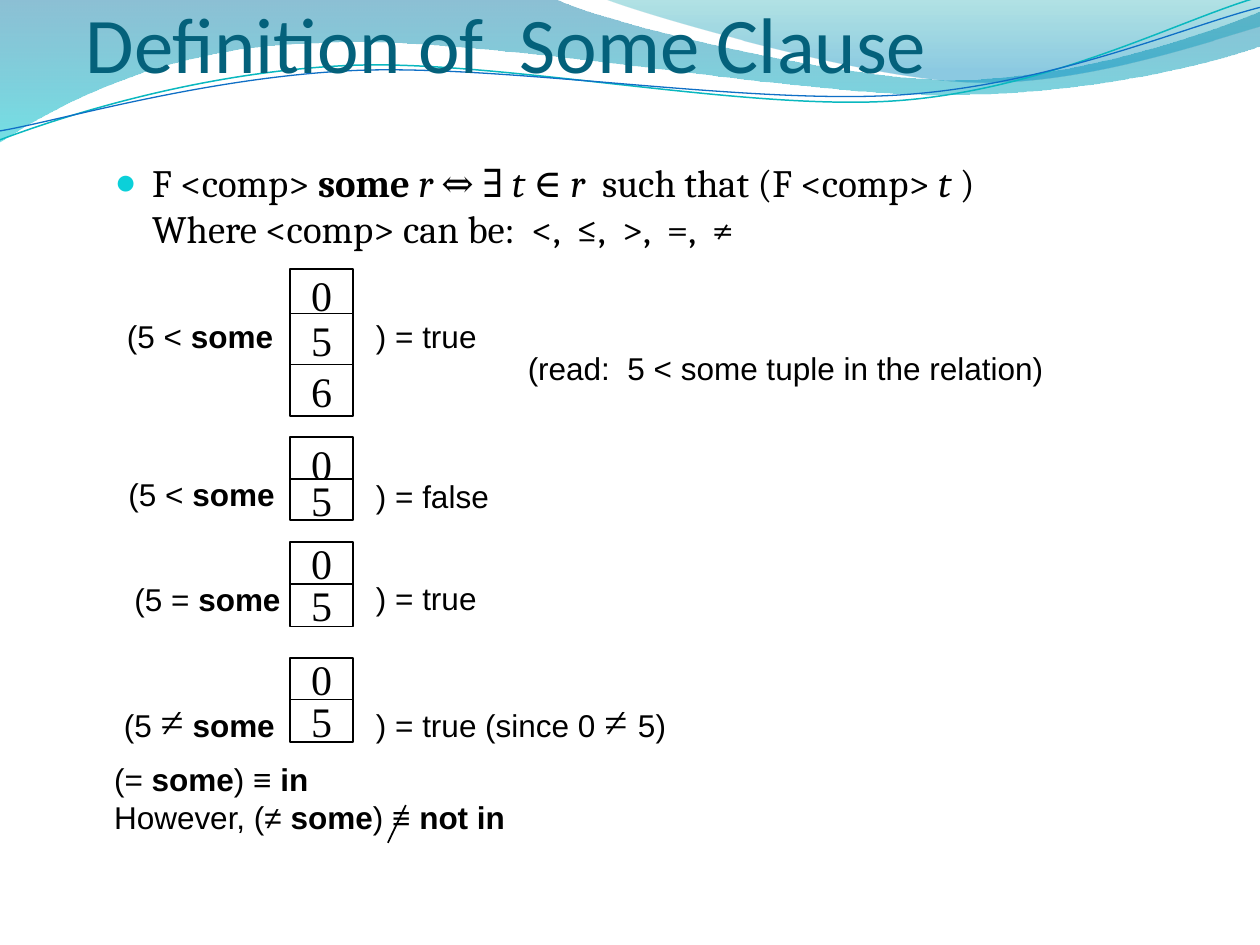
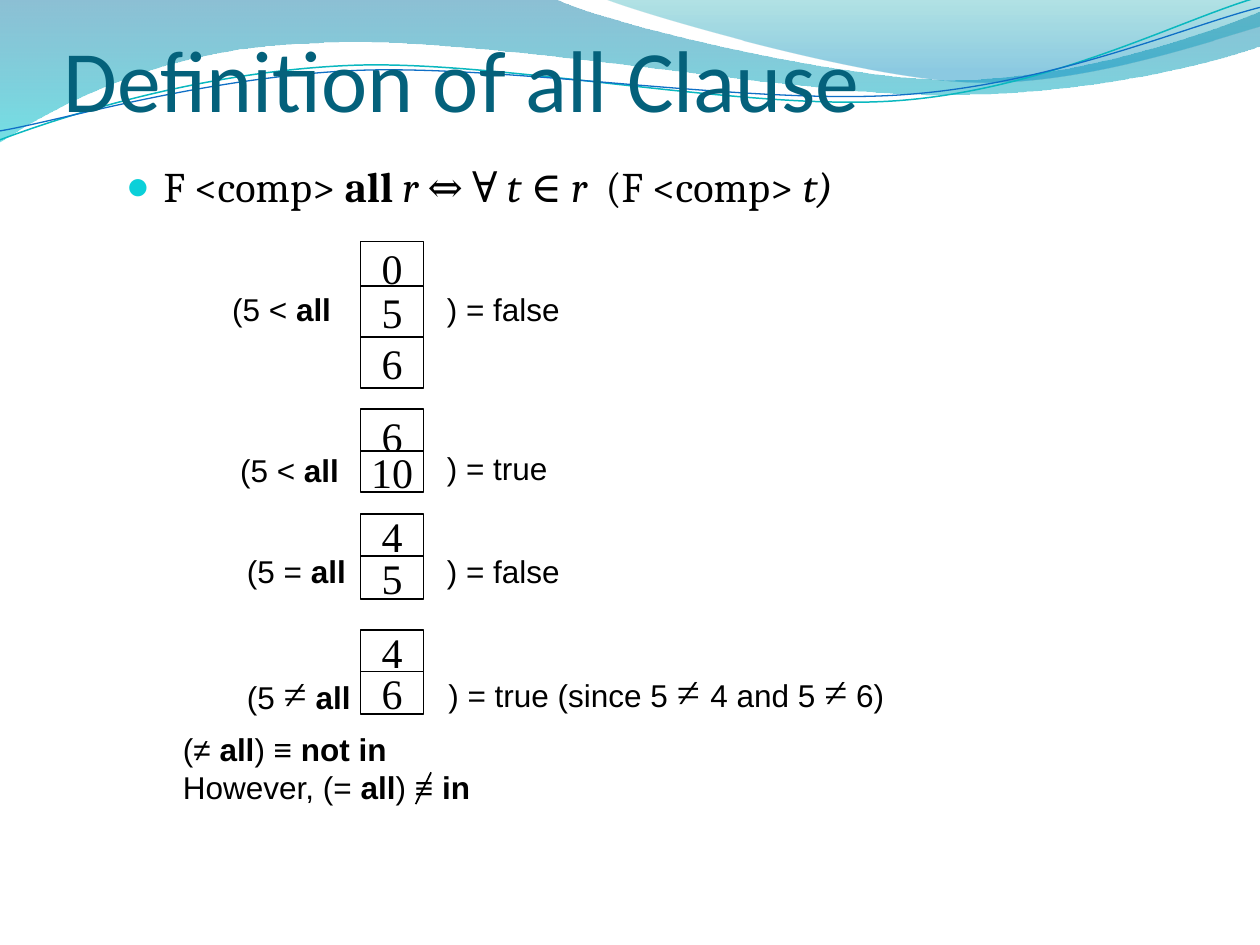
from dataclasses import dataclass
from typing import NamedTuple

import lxml.etree
import pptx
import pptx.dml.color
import pptx.enum.shapes
import pptx.enum.text
import pptx.oxml.ns
import pptx.util

Cm = pptx.util.Cm
Pt = pptx.util.Pt
qn = pptx.oxml.ns.qn
ALIGN = pptx.enum.text.PP_ALIGN
ANCHOR = pptx.enum.text.MSO_ANCHOR


@dataclass(frozen=True)
class Theme:
    ink: str = "000000"
    paper: str = "FFFFFF"
    title: str = "04617B"
    bullet: str = "0BD0D9"
    head: str = "Calibri"
    serif: str = "Cambria"
    sans: str = "Arial"
    math: str = "Times New Roman"
    label: float = 18
    digit: float = 24


THEME = Theme()


class Box(NamedTuple):
    """A place on the slide in centimetres."""
    left: float
    top: float
    width: float
    height: float


class Stop(NamedTuple):
    at: float
    color: str
    alpha: int


class Wave(NamedTuple):
    """An outline: two numbers make a line, six make a Bezier curve."""
    start: tuple[float, float]
    steps: list[tuple[float, ...]]
    stops: tuple[Stop, ...] = ()
    color: str = ""
    weight: float = 0


class Label(NamedTuple):
    left: float
    top: float
    width: float
    text: str


class Case(NamedTuple):
    """One comparison: text before the stack, its digits, text after."""
    before: Label
    digits: list[str]
    after: Label


class Page(NamedTuple):
    title: str
    title_box: Box
    title_size: float
    rule: str
    rule_box: Box
    rule_size: float
    stack_left: float
    stack_shift: float
    cases: list[Case]
    notes: list[Label]
    sum_up: list[str]
    sum_box: Box
    slash: tuple[float, float, float, float]


WAVES = [
    Wave((0, 0), [
        (11.18, -0.03),
        (12.09, 0.43, 16.87, 1.6, 19.25, 1.6),
        (21.67, 1.6, 24.33, 0.66, 25.4, 0.23),
        (25.43, 0.91),
        (24.97, 1.12, 22.1, 1.93, 18.95, 1.91),
        (15.8, 1.91, 9.7, 0.71, 6.53, 0.86),
        (3.28, 0.91, 1.17, 2.11, -0.03, 2.87),
    ], stops=(Stop(0, "0074A1", 45), Stop(1, "00C6CF", 55))),
    Wave((12.17, -0.03), [
        (12.93, 0.28, 17.32, 1.57, 19.53, 1.65),
        (21.74, 1.75, 24.41, 0.81, 25.4, 0.53),
        (25.4, 0),
    ], stops=(Stop(0, "00A1A9", 30), Stop(0.8, "008BBF", 45))),
    Wave((0, 2.82), [
        (1.22, 2.36, 4.01, 1.45, 7.04, 1.32),
        (10.03, 1.19, 15.06, 2.26, 18.11, 2.03),
        (21.16, 1.8, 23.83, 0.38, 25.35, -0.05),
    ], color="0AB8BF", weight=0.85),
    Wave((0, 2.64), [
        (1.19, 2.44, 4.17, 1.55, 7.19, 1.42),
        (10.24, 1.3, 15.16, 2.13, 18.21, 1.91),
        (21.23, 1.7, 23.9, 0.53, 25.4, 0.15),
    ], color="0F6FC6", weight=0.75),
]

# Top and height of every cell, stack by stack
STACKS = [
    [(5.43, 1.04), (6.32, 1.04), (7.35, 1.04)],
    [(8.81, 1.07), (9.66, 0.82)],
    [(10.92, 0.86), (11.77, 0.86)],
    [(13.26, 0.86), (14.1, 0.86)],
]

# In texts, "|" parts the runs; a run opens with * (bold), / (italic) or # (symbol)
PAGES = [
    Page(
        "Definition of  Some Clause", Box(1.73, 0.1, 22.43, 1.7), 45,
        "F <comp> |*some |/r |⇔ ∃ |/t |∈|/ r  |such that (F <comp> |/t |)|\v|"
        "Where <comp> can be:  <,  ≤,  >,  =,  ≠",
        Box(2.06, 3.07, 18.9, 1.98), 22.1, 5.85, 0,
        [
            Case(Label(2.31, 6.27, 3.76, "(5 < |*some"), ["0", "5", "6"],
                 Label(7.33, 6.27, 2.54, ") = true")),
            Case(Label(2.34, 9.45, 3.84, "(5 < |*some"), ["0", "5"],
                 Label(7.33, 9.5, 3.38, ") = false")),
            Case(Label(2.46, 11.56, 4.24, "(5 = |*some"), ["0", "5"],
                 Label(7.33, 11.55, 3.38, ") = true")),
            Case(Label(2.25, 13.89, 4.01, "(5 |#≠| |*some"), ["0", "5"],
                 Label(7.33, 13.89, 6.99, ") = true (since 0 |#≠ |5)")),
        ],
        [Label(10.39, 6.91, 13.54, "(read:  5 < some tuple in the relation)")],
        ["(= |*some|) ≡ |*in", "However, (≠ |*some|) ≡ |*not in"],
        Box(2.05, 15.2, 18.9, 1.98), (8.18, 16.23, 7.82, 16.99),
    ),
    Page(
        "Definition of all Clause", Box(1.28, -0.56, 22.86, 3.18), 50,
        "F <comp> |*all |/r |⇔ ∀ |/t |∈|/ r | (F <comp> |/t)",
        Box(2.29, 3.11, 18.44, 1.07), 24.1, 7.27, -0.56,
        [
            Case(Label(4.43, 5.72, 3.38, "(5 < |*all"), ["0", "5", "6"],
                 Label(8.76, 5.72, 3.38, ") = false")),
            Case(Label(4.59, 8.97, 3.38, "(5 < |*all"), ["6", "10"],
                 Label(8.76, 8.93, 3.38, ") = true")),
            Case(Label(4.73, 11, 3.38, "(5 = |*all"), ["4", "5"],
                 Label(8.76, 11, 3.38, ") = false")),
            Case(Label(4.73, 13.34, 4.65, "(5 |#≠| |*all"), ["4", "6"],
                 Label(8.79, 13.29, 12.7, ") = true (since 5 |#≠ |4 and 5 |#≠| 6)")),
        ],
        [],
        ["(≠ |*all|) ≡ |*not in", "However, (= |*all|) ≡ |*in"],
        Box(3.44, 14.6, 18.9, 1.98), (8.69, 15.57, 8.38, 16.21),
    ),
]


def rgb(code: str) -> pptx.dml.color.RGBColor:
    return pptx.dml.color.RGBColor.from_string(code)


def style(font, face: str, size: float, color: str = THEME.ink) -> None:
    font.name = face
    font.size = Pt(size)
    font.color.rgb = rgb(color)


def write(para, text: str, face: str, size: float) -> None:
    """Fill a paragraph from marked-up text."""
    for piece in text.split("|"):
        if piece == "\v":
            para.add_line_break()
            continue
        mark = piece[0] if piece[0] in "*/#" else ""
        run = para.add_run()
        run.text = piece[len(mark):]
        if mark == "#":
            style(run.font, THEME.math, THEME.digit)
        else:
            style(run.font, face, size)
        run.font.bold = mark == "*"
        run.font.italic = mark == "/"


def add_text(slide, box: Box, lines: list[str], face: str, size: float):
    frame = slide.shapes.add_textbox(*map(Cm, box)).text_frame
    frame.word_wrap = True
    for i, line in enumerate(lines):
        para = frame.add_paragraph() if i else frame.paragraphs[0]
        write(para, line, face, size)
    return frame


def add_label(slide, label: Label) -> None:
    tall = 1.27 if "#" in label.text else 1.02
    box = Box(label.left, label.top, label.width, tall)
    add_text(slide, box, [label.text], THEME.sans, THEME.label)


def add_title(slide, page: Page) -> None:
    frame = slide.shapes.add_textbox(*map(Cm, page.title_box)).text_frame
    frame.text = page.title
    frame.word_wrap = True
    frame.vertical_anchor = ANCHOR.BOTTOM
    frame.margin_left = frame.margin_right = frame.margin_bottom = 0
    style(frame.paragraphs[0].runs[0].font, THEME.head, page.title_size, THEME.title)


def add_bullet(para) -> None:
    props = para._p.get_or_add_pPr()
    props.set("marL", str(Cm(0.76)))
    props.set("indent", str(Cm(-0.76)))
    tint = lxml.etree.SubElement(props, qn("a:buClr"))
    lxml.etree.SubElement(tint, qn("a:srgbClr"), val=THEME.bullet)
    lxml.etree.SubElement(props, qn("a:buSzPct"), val="95000")
    lxml.etree.SubElement(props, qn("a:buFont"), typeface=THEME.sans)
    lxml.etree.SubElement(props, qn("a:buChar"), char="●")


def bend(shape, steps: list[tuple[float, ...]]) -> None:
    """Turn each three lines that stand for a curve into one Bezier."""
    lines = iter(list(shape._element.iter(qn("a:lnTo"))))
    for step in steps:
        first = next(lines)
        if len(step) == 2:
            continue
        curve = lxml.etree.Element(qn("a:cubicBezTo"))
        first.addprevious(curve)
        for line in (first, next(lines), next(lines)):
            curve.append(line[0])
            line.getparent().remove(line)


def add_wave(slide, wave: Wave) -> None:
    pen = slide.shapes.build_freeform(*map(Cm, wave.start), scale=1.0)
    points = [(Cm(x), Cm(y)) for step in wave.steps
              for x, y in zip(step[::2], step[1::2])]
    pen.add_line_segments(points, close=bool(wave.stops))
    shape = pen.convert_to_shape()
    bend(shape, wave.steps)
    shape.shadow.inherit = False
    if not wave.stops:
        shape.fill.background()
        shape.line.color.rgb = rgb(wave.color)
        shape.line.width = Pt(wave.weight)
        return
    shape.line.fill.background()
    shape.fill.gradient()
    shape.fill.gradient_angle = 270
    for item, stop in zip(shape.fill.gradient_stops, wave.stops):
        item.position = stop.at
        item.color.rgb = rgb(stop.color)
    for tint, stop in zip(shape._element.spPr.iter(qn("a:srgbClr")), wave.stops):
        lxml.etree.SubElement(tint, qn("a:alpha"), val=str(stop.alpha * 1000))


def add_cell(slide, box: Box, digit: str) -> None:
    kind = pptx.enum.shapes.MSO_SHAPE.RECTANGLE
    cell = slide.shapes.add_shape(kind, *map(Cm, box))
    cell.shadow.inherit = False
    cell.fill.solid()
    cell.fill.fore_color.rgb = rgb(THEME.paper)
    cell.line.color.rgb = rgb(THEME.ink)
    cell.line.width = Pt(1)
    frame = cell.text_frame
    frame.text = digit
    frame.word_wrap = False
    frame.vertical_anchor = ANCHOR.MIDDLE
    frame.paragraphs[0].alignment = ALIGN.CENTER
    style(frame.paragraphs[0].runs[0].font, THEME.math, THEME.digit)


def add_slash(slide, ends: tuple[float, float, float, float]) -> None:
    kind = pptx.enum.shapes.MSO_CONNECTOR.STRAIGHT
    line = slide.shapes.add_connector(kind, *map(Cm, ends))
    line.line.color.rgb = rgb(THEME.ink)
    line.line.width = Pt(1)
    lxml.etree.SubElement(line._element.spPr, qn("a:effectLst"))


def add_page(deck, page: Page) -> None:
    slide = deck.slides.add_slide(deck.slide_layouts[6])
    for wave in WAVES:
        add_wave(slide, wave)
    add_title(slide, page)
    rule = add_text(slide, page.rule_box, [page.rule], THEME.serif, page.rule_size)
    add_bullet(rule.paragraphs[0])
    for case, stack in zip(page.cases, STACKS):
        for digit, (top, tall) in zip(case.digits, stack):
            add_cell(slide, Box(page.stack_left, top + page.stack_shift, 1.27, tall), digit)
        add_label(slide, case.before)
        add_label(slide, case.after)
    for note in page.notes:
        add_label(slide, note)
    add_text(slide, page.sum_box, page.sum_up, THEME.sans, THEME.label)
    add_slash(slide, page.slash)


def main() -> None:
    deck = pptx.Presentation()
    deck.slide_width, deck.slide_height = Cm(25.4), Cm(19.05)
    for page in PAGES:
        add_page(deck, page)
    deck.save("out.pptx")


if __name__ == "__main__":
    main()
